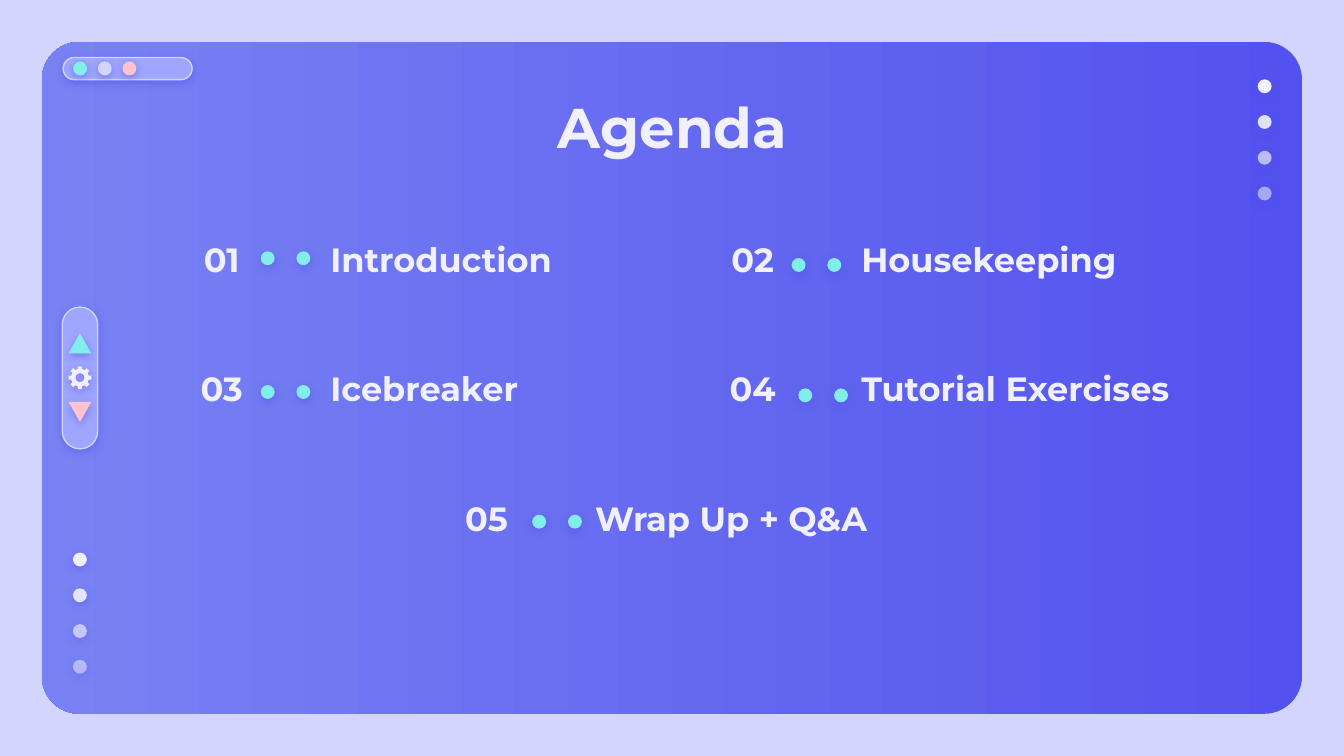
"""Build the agenda slide on a square grid of tenths of an inch."""
from dataclasses import dataclass
from math import cos, pi, sin

from lxml.etree import SubElement as Sub
from pptx import Presentation
from pptx.dml.color import RGBColor as Rgb
from pptx.enum.shapes import MSO_SHAPE as Kind
from pptx.enum.text import MSO_ANCHOR as Anchor, MSO_AUTO_SIZE as Fit, PP_ALIGN as Align
from pptx.oxml.ns import qn
from pptx.util import Inches, Pt

CELL = Inches(0.1)
COLS, ROWS = 100, 56.25
DOT = 1.04
STEP = 2.66
LEFTS = (11.7, 31.4, 51.2)
TOP, PITCH = 17.9, 9.65
COLORS = {
    "back": "D2D6FF", "deep": "5352EE", "light": "7882F3", "pill": "9EA6FF",
    "mint": "81EEEB", "pink": "FFC3D0", "text": "F1F0FF",
}


@dataclass(frozen=True)
class Box:
    left: float
    top: float
    width: float
    height: float

    def emu(self) -> tuple:
        return tuple(round(v * CELL) for v in (self.left, self.top, self.width, self.height))


@dataclass(frozen=True)
class Item:
    label: str
    col: int
    row: int
    dx: float
    dy: float


ITEMS = (
    Item("Introduction", 0, 0, 7.7, 0.8),
    Item("Housekeeping", 2, 0, 7.7, 1.3),
    Item("Icebreaker", 0, 1, 7.7, 1.1),
    Item("Tutorial Exercises", 2, 1, 8.2, 1.35),
    Item("Wrap Up + Q&A", 1, 2, 8.2, 1.1),
)


def tint(name: str) -> Rgb:
    return Rgb.from_string(COLORS[name])


def glow(shape) -> None:
    shape.shadow.inherit = False
    effects = shape.element.spPr.find(qn("a:effectLst"))
    outer = Sub(effects, qn("a:outerShdw"), blurRad=str(Pt(4.5)), dist=str(Pt(1.5)),
                dir="5400000", algn="bl", rotWithShape="0")
    color = Sub(outer, qn("a:srgbClr"), val=COLORS["deep"])
    Sub(color, qn("a:alpha"), val="50000")


def paint(shape, name: str, alpha: int = 100) -> None:
    shape.fill.solid()
    shape.fill.fore_color.rgb = tint(name)
    if alpha < 100:
        color = shape.element.spPr.find(qn("a:solidFill")).find(qn("a:srgbClr"))
        Sub(color, qn("a:alpha"), val=str(alpha * 1000))
    shape.line.fill.background()
    glow(shape)


def draw(shapes, kind: Kind, box: Box, name: str, alpha: int = 100):
    shape = shapes.add_shape(kind, *box.emu())
    paint(shape, name, alpha)
    return shape


def dot(shapes, left: float, top: float, name: str, alpha: int = 100) -> None:
    draw(shapes, Kind.OVAL, Box(left, top, DOT, DOT), name, alpha)


def fade(shapes, left: float, top: float) -> None:
    for i, alpha in enumerate((100, 90, 67, 54)):
        dot(shapes, left, top + i * STEP, "text", alpha)


def pill(shapes, box: Box) -> None:
    shape = draw(shapes, Kind.ROUNDED_RECTANGLE, box, "pill")
    shape.adjustments[0] = 0.5
    shape.line.color.rgb = tint("back")
    shape.line.width = Pt(0.75)


def panel(shapes) -> None:
    shape = shapes.add_shape(Kind.ROUNDED_RECTANGLE, *Box(3.12, 3.12, 93.76, 50).emu())
    shape.adjustments[0] = 0.056
    shape.shadow.inherit = False
    shape.line.fill.background()
    shape.fill.gradient()
    shape.fill.gradient_angle = 180
    for stop, name in zip(shape.fill.gradient_stops, ("deep", "light")):
        stop.color.rgb = tint(name)


def gear(shapes, x: float, y: float) -> None:
    def spot(radius: float, angle: float) -> tuple:
        return round((x + radius * cos(angle)) * CELL), round((y + radius * sin(angle)) * CELL)

    teeth = [spot(r, i * pi / 4 + a) for i in range(8)
             for r, a in ((0.67, -0.21), (0.86, -0.19), (0.86, 0.19), (0.67, 0.21))]
    hole = [spot(0.33, -i * pi / 16) for i in range(32)]
    path = shapes.build_freeform(*teeth[0])
    path.add_line_segments(teeth[1:])
    path.move_to(*hole[0])
    path.add_line_segments(hole[1:])
    paint(path.convert_to_shape(), "text")


def write(shape, text: str, size: int, align: Align, anchor: Anchor) -> None:
    frame = shape.text_frame
    frame.text = text
    frame.word_wrap = True
    frame.auto_size = Fit.NONE
    frame.vertical_anchor = anchor
    frame.margin_left = frame.margin_right = frame.margin_top = frame.margin_bottom = CELL
    para = frame.paragraphs[0]
    para.alignment = align
    font = para.font
    font.name, font.size, font.bold = "Montserrat", Pt(size), True
    font.color.rgb = tint("text")


def entry(shapes, num: int, item: Item) -> None:
    left, top = LEFTS[item.col], TOP + item.row * PITCH
    for text, shift, width, align in ((f"{num:02}", 0, 9.6, Align.CENTER),
                                      (item.label, 11.9, 25.2, Align.LEFT)):
        area = shapes.add_textbox(*Box(left + shift, top, width, 2.7).emu())
        write(area, text, 18, align, Anchor.MIDDLE)
    for i in range(2):
        dot(shapes, left + item.dx + i * STEP, top + item.dy, "mint")


def main() -> None:
    deck = Presentation()
    deck.slide_width, deck.slide_height = round(COLS * CELL), round(ROWS * CELL)
    slide = deck.slides.add_slide(deck.slide_layouts[5])
    slide.background.fill.solid()
    slide.background.fill.fore_color.rgb = tint("back")
    shapes = slide.shapes

    panel(shapes)
    pill(shapes, Box(4.7, 4.28, 9.6, 1.65))
    for i, name in enumerate(("mint", "back", "pink")):
        dot(shapes, 5.45 + i * 1.83, 4.58, name)
    fade(shapes, 93.58, 5.9)
    fade(shapes, 5.43, 41.12)

    title = shapes.title
    title.left, title.top, title.width, title.height = Box(7.9, 5.9, 84.3, 6.7).emu()
    write(title, "Agenda", 30, Align.CENTER, Anchor.TOP)
    shapes.element.append(title.element)

    for num, item in enumerate(ITEMS, 1):
        entry(shapes, num, item)

    pill(shapes, Box(4.63, 22.85, 2.64, 10.55))
    draw(shapes, Kind.ISOSCELES_TRIANGLE, Box(5.1, 24.8, 1.7, 1.5), "mint")
    draw(shapes, Kind.ISOSCELES_TRIANGLE, Box(5.1, 29.9, 1.7, 1.5), "pink").rotation = 180
    gear(shapes, 5.95, 28.1)
    deck.save("out.pptx")


if __name__ == "__main__":
    main()
